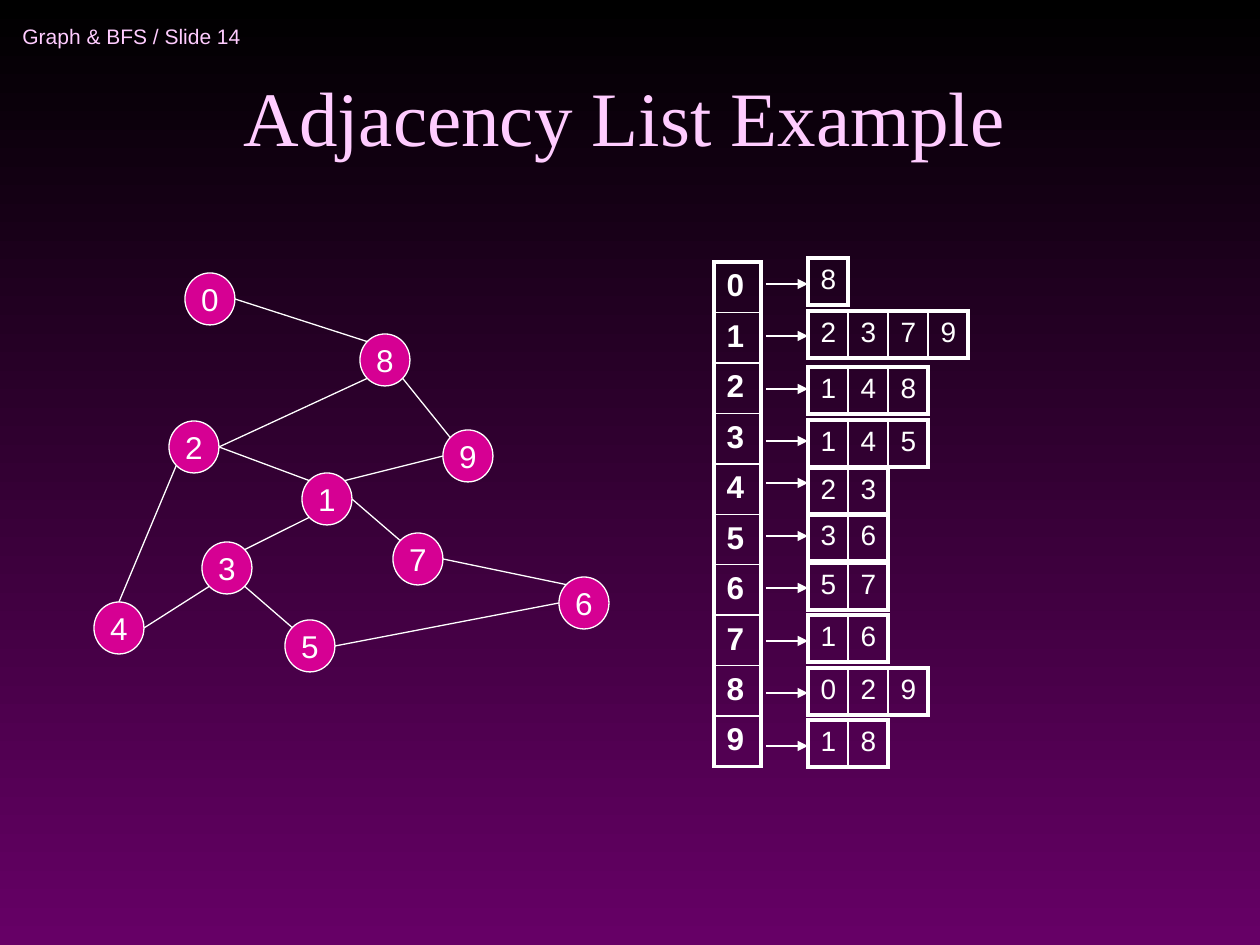
from math import cos, radians, sin

from lxml import etree
from pptx import Presentation
from pptx import util as u
from pptx.dml.color import RGBColor
from pptx.enum import shapes as kinds, text
from pptx.oxml import ns

PX = u.Inches(1) / 126
BLACK = RGBColor(0x00, 0x00, 0x00)
PURPLE = RGBColor(0x66, 0x00, 0x66)
PINK = RGBColor(0xFF, 0xCC, 0xFF)
MAGENTA = RGBColor(0xD6, 0x00, 0x93)
WHITE = RGBColor(0xFF, 0xFF, 0xFF)

THIN, HAIR, THICK = u.Pt(0.75), u.Pt(1), u.Pt(2.25)
HEADER = {"name": "Arial", "size": u.Pt(12), "color": PINK}
TITLE = {"name": "Times New Roman", "size": u.Pt(44), "color": PINK}
VERTEX = {"name": "Arial", "size": u.Pt(18), "color": WHITE}
INDEX = {**VERTEX, "bold": True}
NEIGHBOUR = {**VERTEX, "size": u.Pt(16)}

# Top left corner of each vertex within the graph box
VERTICES = {2: (75, 148), 4: (0, 329), 3: (108, 269), 5: (191, 347), 1: (208, 200),
            7: (299, 260), 6: (465, 304), 9: (349, 157), 8: (266, 61), 0: (91, 0)}
VERTEX_W, VERTEX_H = 50, 52
ANGLES = {"E": 0, "SE": 45, "SW": 135, "W": 180, "NW": 225, "N": 270, "NE": 315}
EDGES = [(0, "E", 8, "NW"), (8, "SE", 9, "NW"), (9, "W", 1, "NE"), (8, "SW", 2, "E"),
         (2, "E", 1, "NW"), (2, "SW", 4, "N"), (4, "E", 3, "SW"), (3, "NE", 1, "SW"),
         (3, "SE", 5, "NW"), (5, "E", 6, "W"), (1, "E", 7, "NW"), (7, "E", 6, "NW")]

# Neighbours of vertices 0 to 9, with the tops of list and arrow in the list box
ADJACENCY = [("8", 0, 26), ("2379", 53, 78), ("148", 109, 131), ("145", 162, 183),
             ("23", 210, 225), ("36", 256, 278), ("57", 305, 330), ("16", 357, 383),
             ("029", 410, 435), ("18", 462, 488)]


def emu(*lengths):
    return [u.Emu(round(length * PX)) for length in lengths]


def write(frame, wording, font, align=text.PP_ALIGN.LEFT, **frame_format):
    for name, value in frame_format.items():
        setattr(frame, name, value)
    paragraph = frame.paragraphs[0]
    paragraph.alignment = align
    run = paragraph.add_run()
    run.text = wording
    for name, value in font.items():
        if name == "color":
            run.font.color.rgb = value
        else:
            setattr(run.font, name, value)


def add_line(parent, start, end, arrow=False):
    line = parent.add_connector(kinds.MSO_CONNECTOR.STRAIGHT, *emu(*start, *end))
    line.line.color.rgb = WHITE
    line.line.width = THIN
    properties = line._element.spPr
    if arrow:
        etree.SubElement(properties.find(ns.qn("a:ln")), ns.qn("a:tailEnd"), type="triangle")
    etree.SubElement(properties, ns.qn("a:effectLst"))


def set_borders(cell, widths):
    """Draw white borders; widths run left, right, top, bottom."""
    properties = cell._tc.get_or_add_tcPr()
    for place, (side, width) in enumerate(zip("LRTB", widths)):
        border = etree.Element(ns.qn(f"a:ln{side}"), w=str(width))
        fill = etree.SubElement(border, ns.qn("a:solidFill"))
        etree.SubElement(fill, ns.qn("a:srgbClr"), val=str(WHITE))
        properties.insert(place, border)


def add_cells(slide, rows, box, font):
    """Add a table with a thick frame and hairlines between its cells."""
    height, width = len(rows), len(rows[0])
    table = slide.shapes.add_table(height, width, *emu(*box)).table
    table.first_row = table.horz_banding = False
    for r, row in enumerate(rows):
        for c, value in enumerate(row):
            cell = table.cell(r, c)
            cell.fill.background()
            write(cell.text_frame, value, font)
            on_frame = (c == 0, c == width - 1, r == 0, r == height - 1)
            set_borders(cell, [THICK if outer else HAIR for outer in on_frame])


def paint_background(slide):
    fill = slide.background.fill
    fill.gradient()
    fill.gradient_angle = 270
    for stop, color in zip(fill.gradient_stops, (BLACK, PURPLE)):
        stop.color.rgb = color


def add_headings(slide, left, top):
    header = slide.shapes.add_textbox(*emu(left, top, 346, 53))
    write(header.text_frame, "Graph & BFS / Slide 14", HEADER,
          word_wrap=True, vertical_anchor=text.MSO_ANCHOR.MIDDLE)
    title = slide.shapes.title
    title.left, title.top, title.width, title.height = emu(left + 74, top + 22, 1081, 136)
    write(title.text_frame, "Adjacency List Example", TITLE, text.PP_ALIGN.CENTER,
          word_wrap=True, vertical_anchor=text.MSO_ANCHOR.BOTTOM,
          auto_size=text.MSO_AUTO_SIZE.NONE)


def add_graph(slide, left, top):
    graph = slide.shapes.add_group_shape().shapes

    def rim(vertex, direction):
        """Point on the outline of a vertex in a compass direction."""
        x, y = VERTICES[vertex]
        angle = radians(ANGLES[direction])
        return (left + x + VERTEX_W / 2 * (1 + cos(angle)),
                top + y + VERTEX_H / 2 * (1 + sin(angle)))

    for number, (x, y) in VERTICES.items():
        vertex = graph.add_shape(kinds.MSO_SHAPE.OVAL,
                                 *emu(left + x, top + y, VERTEX_W, VERTEX_H))
        vertex.shadow.inherit = False
        vertex.fill.solid()
        vertex.fill.fore_color.rgb = MAGENTA
        vertex.line.color.rgb = WHITE
        vertex.line.width = THIN
        write(vertex.text_frame, str(number), VERTEX, text.PP_ALIGN.CENTER,
              word_wrap=False, vertical_anchor=text.MSO_ANCHOR.MIDDLE)
    for first, exit_side, second, entry_side in EDGES:
        add_line(graph, rim(first, exit_side), rim(second, entry_side))


def add_adjacency_list(slide, left, top):
    lists_left = left + 94
    add_cells(slide, [str(n) for n in range(len(ADJACENCY))],
              (left, top + 4, 47, 504), INDEX)
    for neighbours, list_top, arrow_top in ADJACENCY:
        y = top + arrow_top
        add_line(slide.shapes, (left + 52, y), (lists_left, y), arrow=True)
        add_cells(slide, [neighbours],
                  (lists_left, top + list_top, 40 * len(neighbours), 47), NEIGHBOUR)


def main():
    deck = Presentation()
    deck.slide_width, deck.slide_height = emu(1260, 945)
    slide = deck.slides.add_slide(deck.slide_layouts[5])
    paint_background(slide)
    add_headings(slide, 10, 10)
    add_graph(slide, 94, 273)
    add_adjacency_list(slide, 714, 258)
    deck.save("out.pptx")


if __name__ == "__main__":
    main()
